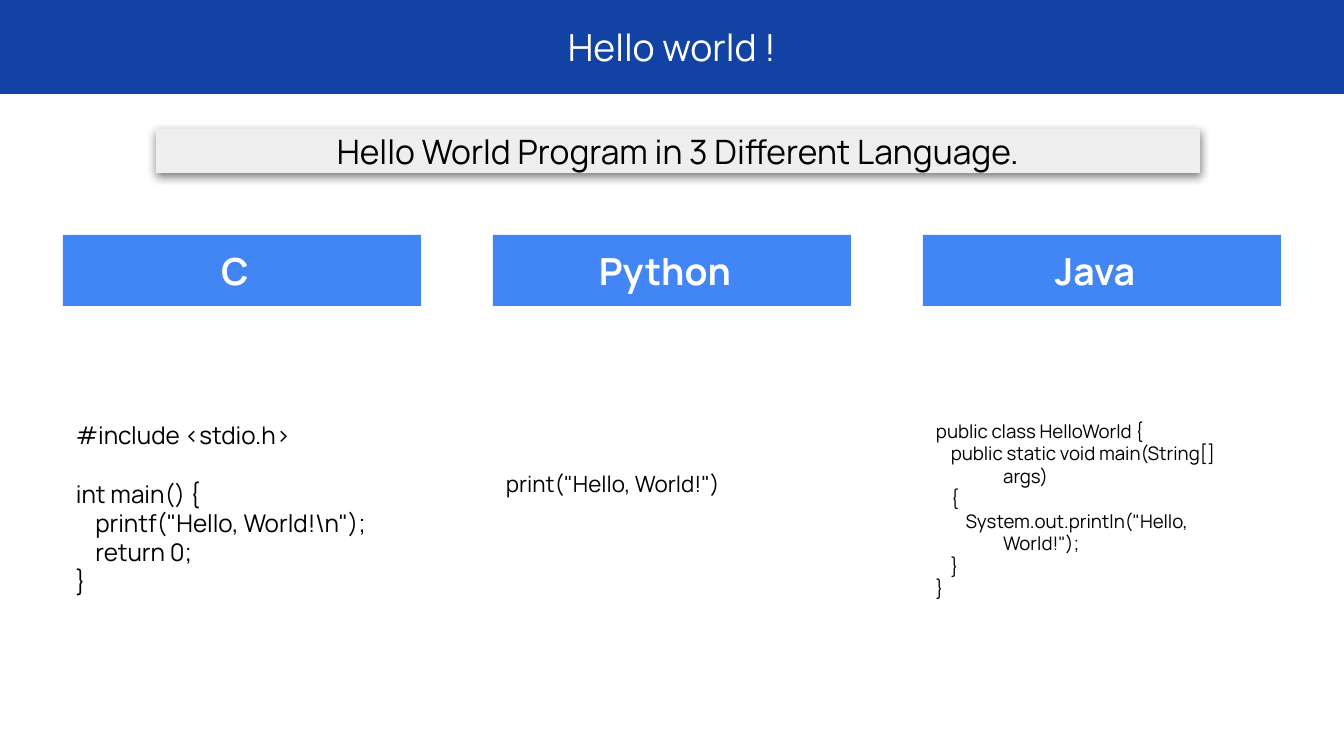
from lxml import etree
from pptx import Presentation
from pptx import util as u
from pptx.dml.color import RGBColor
from pptx.enum import shapes, text
from pptx.oxml.ns import qn

SCALE = 914400 / 134.4  # EMU per px
FONT = "Manrope"
INSET = 13
WHITE, BLACK = "FFFFFF", "000000"

C_CODE = r'''#include <stdio.h>
int main() {
    printf("Hello, World!\n");
    return 0;
}'''
PYTHON_CODE = 'print("Hello, World!")'
# \v breaks a line within its paragraph
JAVA_CODE = '''public class HelloWorld {
    public static void main(String[]\v\targs)\v    {
        System.out.println("Hello,\v\tWorld!");
    }
}'''


def px(n):
    return u.Emu(round(n * SCALE))


def color(hex_string):
    return RGBColor.from_string(hex_string)


def write(s, content, size, ink, align=text.PP_ALIGN.CENTER, bold=False,
          right=INSET, bottom=INSET):
    tf = s.text_frame
    tf.word_wrap = True
    tf.vertical_anchor = text.MSO_ANCHOR.MIDDLE
    tf.margin_left = tf.margin_top = px(INSET)
    tf.margin_right, tf.margin_bottom = px(right), px(bottom)
    tf.text = content
    for p in tf.paragraphs:
        p.alignment = align
        for r in p.runs:
            r.font.name = FONT
            r.font.size = u.Pt(size)
            r.font.bold = bold
            r.font.color.rgb = color(ink)
    return tf


def bar(slide, x, y, w, h, fill):
    s = slide.shapes.add_shape(shapes.MSO_SHAPE.RECTANGLE, px(x), px(y), px(w), px(h))
    s.shadow.inherit = False
    s.fill.solid()
    s.fill.fore_color.rgb = color(fill)
    s.line.fill.background()
    return s


def drop_shadow(s):
    effects = s._element.spPr.find(qn("a:effectLst"))
    shadow = etree.SubElement(effects, qn("a:outerShdw"), blurRad=str(u.Pt(4.5)),
                              dist=str(u.Pt(1.5)), dir="5400000",
                              algn="bl", rotWithShape="0")
    tint = etree.SubElement(shadow, qn("a:srgbClr"), val=BLACK)
    etree.SubElement(tint, qn("a:alpha"), val="50000")


def title_bar(slide, x, y, w, h):
    write(bar(slide, x, y, w, h, "1242A4"), "Hello world !", 20, WHITE)


def subtitle_banner(slide, x, y, w, h):
    s = bar(slide, x, y, w, h, "EEEEEE")
    drop_shadow(s)
    write(s, "Hello World Program in 3 Different Language.", 18, BLACK)


def language_column(slide, x, y, w, name, code, size, code_top, code_height, lift=0):
    # Heading
    heading = bar(slide, x, y, w, 71, "4285F4")
    write(heading, name, 20, WHITE, bold=True, right=INSET + 14)
    # Code; lift raises it above the middle of its box
    s = slide.shapes.add_textbox(px(x), px(y + code_top), px(w), px(code_height))
    return write(s, code, size, BLACK, text.PP_ALIGN.LEFT, bottom=INSET + 2 * lift)


def main():
    prs = Presentation()
    prs.slide_width, prs.slide_height = px(1344), px(756)
    slide = prs.slides.add_slide(prs.slide_layouts[6])

    title_bar(slide, 0, 0, 1344, 94)
    subtitle_banner(slide, 156, 129, 1044, 44)

    # Three equal columns: name, code, size, code top, code height, lift
    columns = [
        ("C", C_CODE, 13, 121, 304, 0),
        ("Python", PYTHON_CODE, 12, 124, 304, 27),
        ("Java", JAVA_CODE, 10, 124, 301, 0),
    ]
    frames = [language_column(slide, 63 + 430 * i, 235, 358, *column)
              for i, column in enumerate(columns)]
    # One line of space between the include and main in C
    frames[0].paragraphs[1].space_before = u.Pt(15.6)

    prs.save("out.pptx")


if __name__ == "__main__":
    main()
